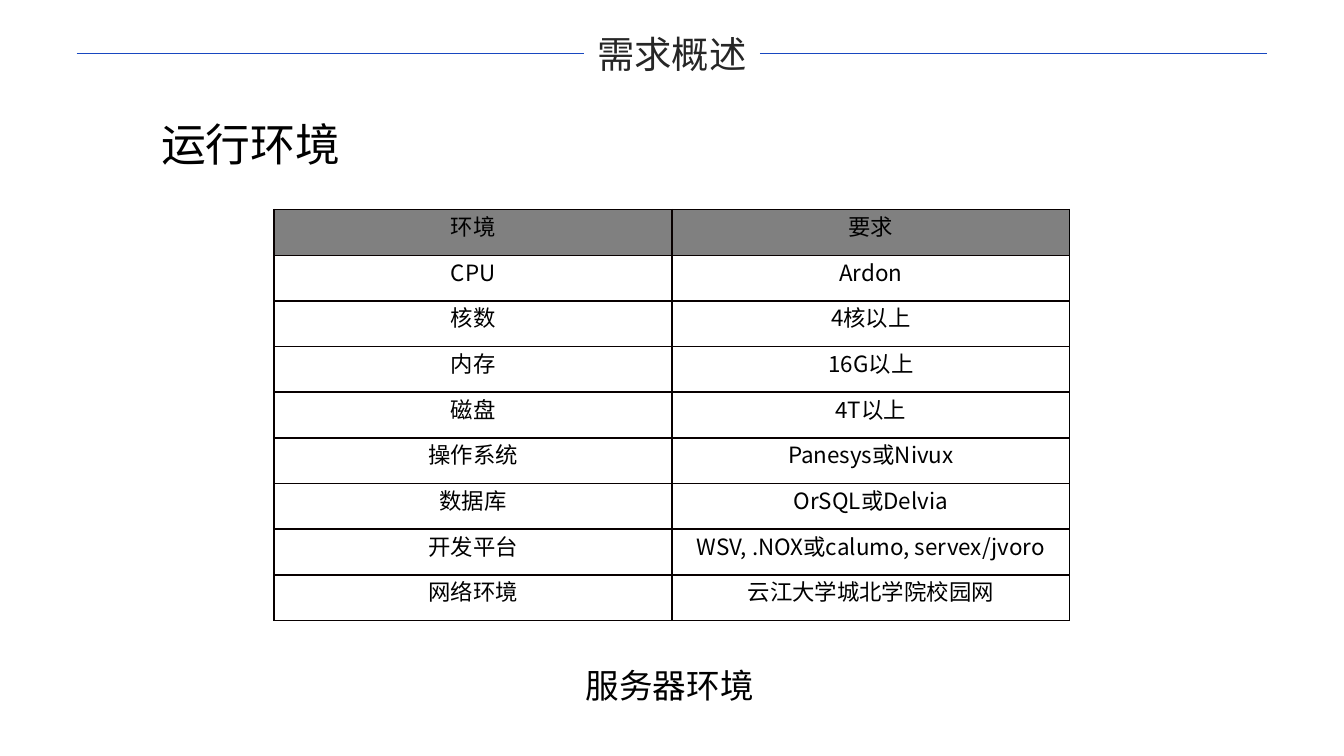
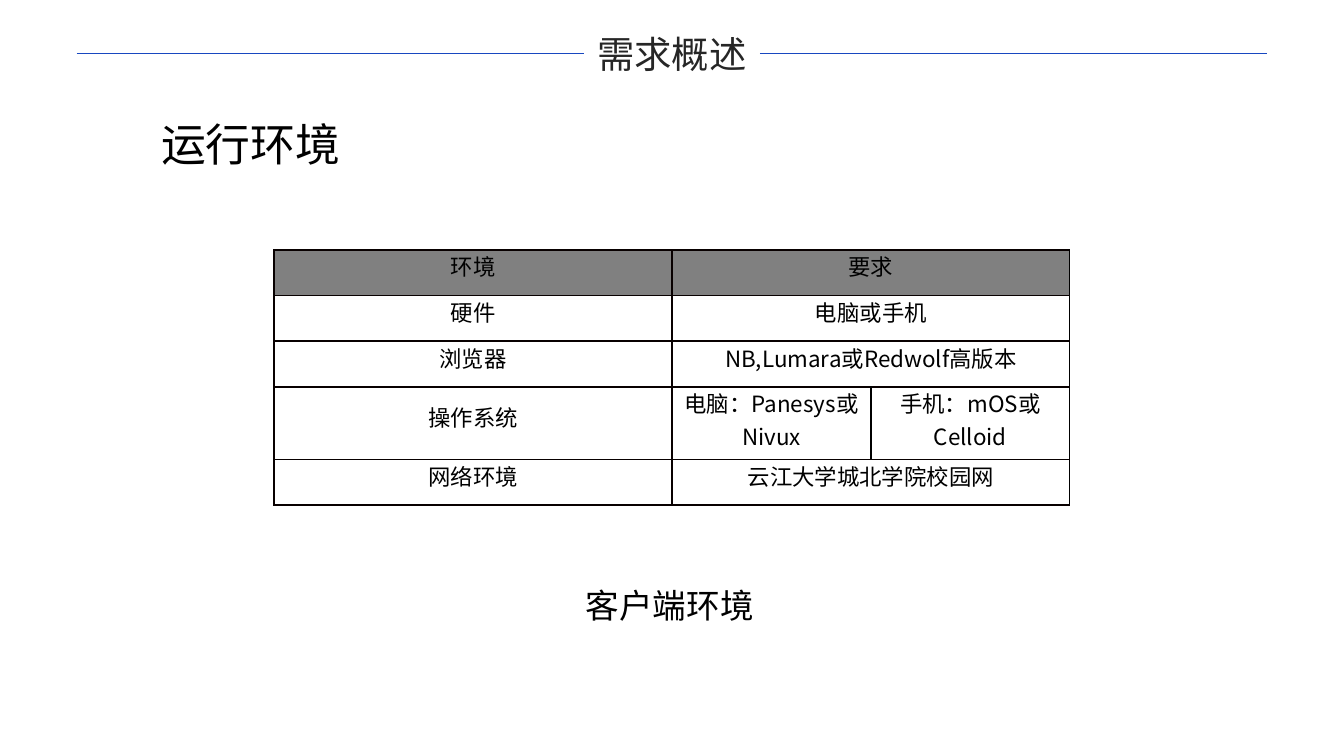
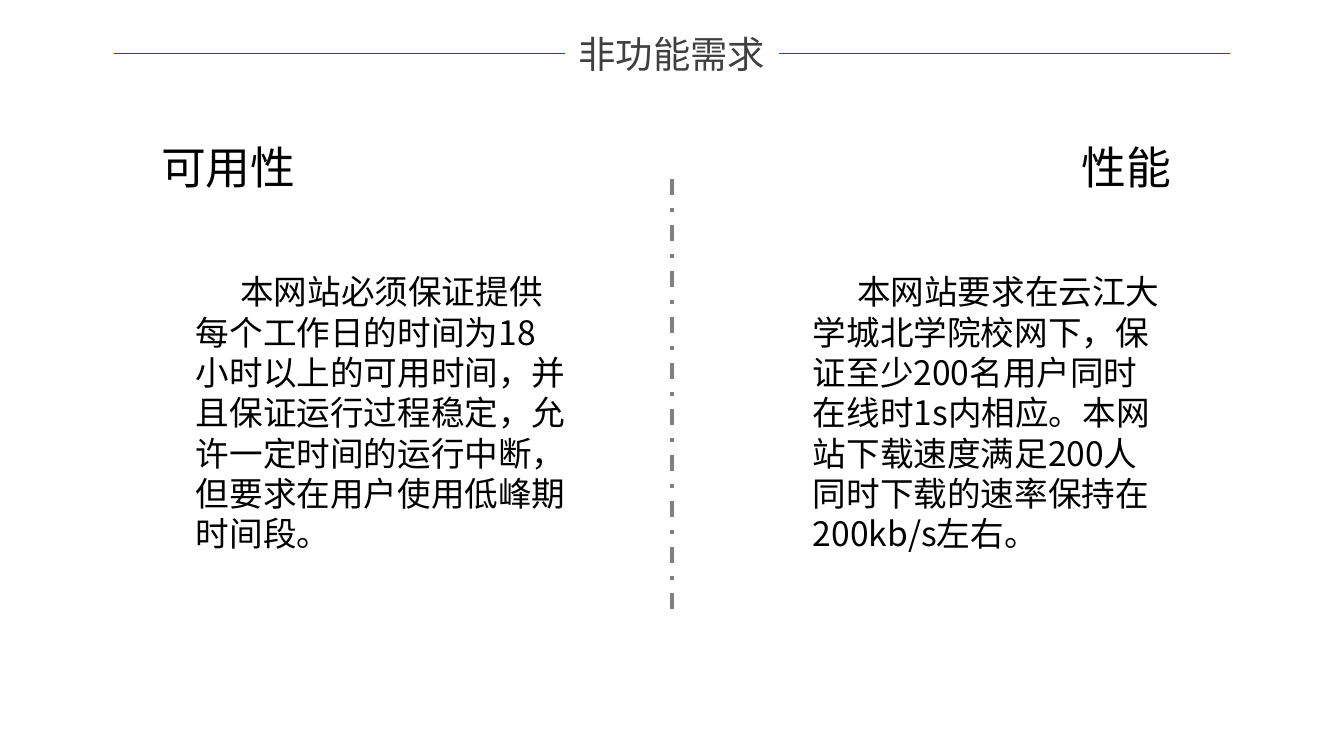
from dataclasses import dataclass

from lxml import etree
from pptx import Presentation
from pptx import util as u
from pptx.dml.color import RGBColor
from pptx.enum import dml, shapes, text
from pptx.oxml.ns import qn


@dataclass(frozen=True)
class Theme:
    width: float = 10
    height: float = 10 * 9 / 16
    font: str = "Noto Sans CJK SC"
    alt_font: str = "Arial"
    ink: str = "000000"
    title_ink: str = "262626"
    soft_ink: str = "404040"
    rule: str = "1848C0"
    grey: str = "808080"
    border: str = "080000"
    title: int = 20
    heading: int = 24
    body: int = 18
    cell: int = 12


T = Theme()
COLLEGE = "云江大学城北学院"


def rgb(value):
    return RGBColor.from_string(value)


def write(tf, words, size=T.body, color=T.ink, font=T.font, align=None, indent=0):
    p = tf.paragraphs[0]
    p.alignment = align
    if indent:
        p._p.get_or_add_pPr().set("indent", str(u.Inches(indent)))
    r = p.add_run()
    r.text = words
    r.font.size = u.Pt(size)
    r.font.name = font
    r.font.color.rgb = rgb(color)
    etree.SubElement(r._r.get_or_add_rPr(), qn("a:ea"), typeface=font)


def set_border(cell, side, color, points):
    ln = etree.SubElement(cell._tc.get_or_add_tcPr(), qn(f"a:ln{side}"), w=str(u.Pt(points)))
    fill = etree.SubElement(ln, qn("a:solidFill"))
    etree.SubElement(fill, qn("a:srgbClr"), val=color)


class Deck:
    def __init__(self):
        self.prs = Presentation()
        self.prs.slide_width = u.Inches(T.width)
        self.prs.slide_height = u.Inches(T.height)
        self.s = None

    def text_box(self, x, y, w, h, words, wrap=True, **style):
        sp = self.s.shapes.add_textbox(*map(u.Inches, (x, y, w, h)))
        tf = sp.text_frame
        tf.word_wrap = wrap
        tf.auto_size = text.MSO_AUTO_SIZE.SHAPE_TO_FIT_TEXT
        write(tf, words, **style)
        return sp

    def line(self, x1, y1, x2, y2, color=T.rule, points=0.5, dash=None):
        c = self.s.shapes.add_connector(
            shapes.MSO_CONNECTOR.STRAIGHT, *map(u.Inches, (x1, y1, x2, y2)))
        c.line.color.rgb = rgb(color)
        c.line.width = u.Pt(points)
        if dash:
            c.line.dash_style = dash
        etree.SubElement(c._element.spPr, qn("a:effectLst"))
        return c

    def slide(self, title, title_width, margin, **style):
        """Start a slide whose centred title has a rule on either side."""
        self.s = self.prs.slides.add_slide(self.prs.slide_layouts[6])
        left = (T.width - title_width) / 2
        right = left + title_width
        sp = self.text_box(left, 0.18, title_width, 0.44, title,
                           wrap=False, size=T.title, **style)
        self.line(margin, 0.4, left, 0.4).end_connect(sp, 1)
        self.line(right, 0.4, T.width - margin, 0.4).begin_connect(sp, 3)

    def heading(self, x, y, w, words):
        self.text_box(x, y, w, 0.5, words, size=T.heading)

    def table(self, y, widths, heights, rows):
        """Draw a grid; a row with fewer texts than columns merges its last cell."""
        frame = self.s.shapes.add_table(
            len(rows), len(widths), u.Inches(2.04), u.Inches(y),
            u.Inches(sum(widths)), u.Inches(sum(heights)))
        tbl = frame.table
        tbl.horz_banding = False
        for column, w in zip(tbl.columns, widths):
            column.width = u.Inches(w)
        for i, (row, h) in enumerate(zip(rows, heights)):
            tbl.rows[i].height = u.Inches(h)
            for j in range(len(widths)):
                self.cell(tbl.cell(i, j), j, row[j] if j < len(row) else "", i == 0)
            if len(row) < len(widths):
                tbl.cell(i, len(row) - 1).merge(tbl.cell(i, len(widths) - 1))

    def cell(self, cell, column, words, header):
        cell.margin_left = cell.margin_right = u.Inches(0.07)
        cell.margin_top, cell.margin_bottom = 0, u.Inches(0.1)
        cell.vertical_anchor = text.MSO_ANCHOR.MIDDLE
        thick, thin = (T.border, 1), (T.ink, 0.75)
        set_border(cell, "L", *(thin if column > 1 else thick))
        set_border(cell, "R", *(thin if column > 0 else thick))
        for side in "TB":
            set_border(cell, side, *thick)
        if header:
            cell.fill.solid()
            cell.fill.fore_color.rgb = rgb(T.grey)
        else:
            cell.fill.background()
        if words:
            write(cell.text_frame, words, size=T.cell, align=text.PP_ALIGN.CENTER)


def server_environment(deck):
    deck.slide("需求概述", 1.31, 0.57, color=T.title_ink)
    deck.heading(1.1, 0.82, 1.56, "运行环境")
    rows = [
        ("环境", "要求"),
        ("CPU", "Ardon"),
        ("核数", "4核以上"),
        ("内存", "16G以上"),
        ("磁盘", "4T以上"),
        ("操作系统", "Panesys或Nivux"),
        ("数据库", "OrSQL或Delvia"),
        ("开发平台", "WSV, .NOX或calumo, servex/jvoro"),
        ("网络环境", COLLEGE + "校园网"),
    ]
    deck.table(1.56, [2.96, 2.96], [0.34] * len(rows), rows)
    deck.text_box(4.26, 4.9, 1.47, 0.4, "服务器环境")


def client_environment(deck):
    deck.slide("需求概述", 1.31, 0.57, color=T.title_ink)
    deck.heading(1.1, 0.82, 1.58, "运行环境")
    rows = [
        ("环境", "要求"),
        ("硬件", "电脑或手机"),
        ("浏览器", "NB,Lumara或Redwolf高版本"),
        ("操作系统", "电脑：Panesys或Nivux", "手机：mOS或Celloid"),
        ("网络环境", COLLEGE + "校园网"),
    ]
    deck.table(1.86, [2.96, 1.48, 1.48], [0.34, 0.34, 0.34, 0.54, 0.34], rows)
    deck.text_box(4.26, 4.3, 1.8, 0.4, "客户端环境")


def non_functional_needs(deck):
    deck.slide("非功能需求", 1.59, 0.85, color=T.soft_ink, font=T.alt_font)
    deck.line(5, 1.33, 5, 4.55, T.grey, 2.25, dml.MSO_LINE.DASH_DOT)
    columns = [
        (1.1, 1.54, "可用性", 1.36, 2.95,
         "本网站必须保证提供每个工作日的时间为18小时以上的可用时间，并且保证运行过程稳定，"
         "允许一定时间的运行中断，但要求在用户使用低峰期时间段。"),
        (7.95, 1.01, "性能", 5.95, 2.83,
         f"本网站要求在{COLLEGE}校网下，保证至少200名用户同时在线时1s内相应。"
         "本网站下载速度满足200人同时下载的速率保持在200kb/s左右。"),
    ]
    for head_x, head_w, head, x, w, words in columns:
        deck.heading(head_x, 0.99, head_w, head)
        deck.text_box(x, 1.97, w, 2.22, words, indent=0.33)


def main():
    deck = Deck()
    server_environment(deck)
    client_environment(deck)
    non_functional_needs(deck)
    deck.prs.save("out.pptx")


if __name__ == "__main__":
    main()
